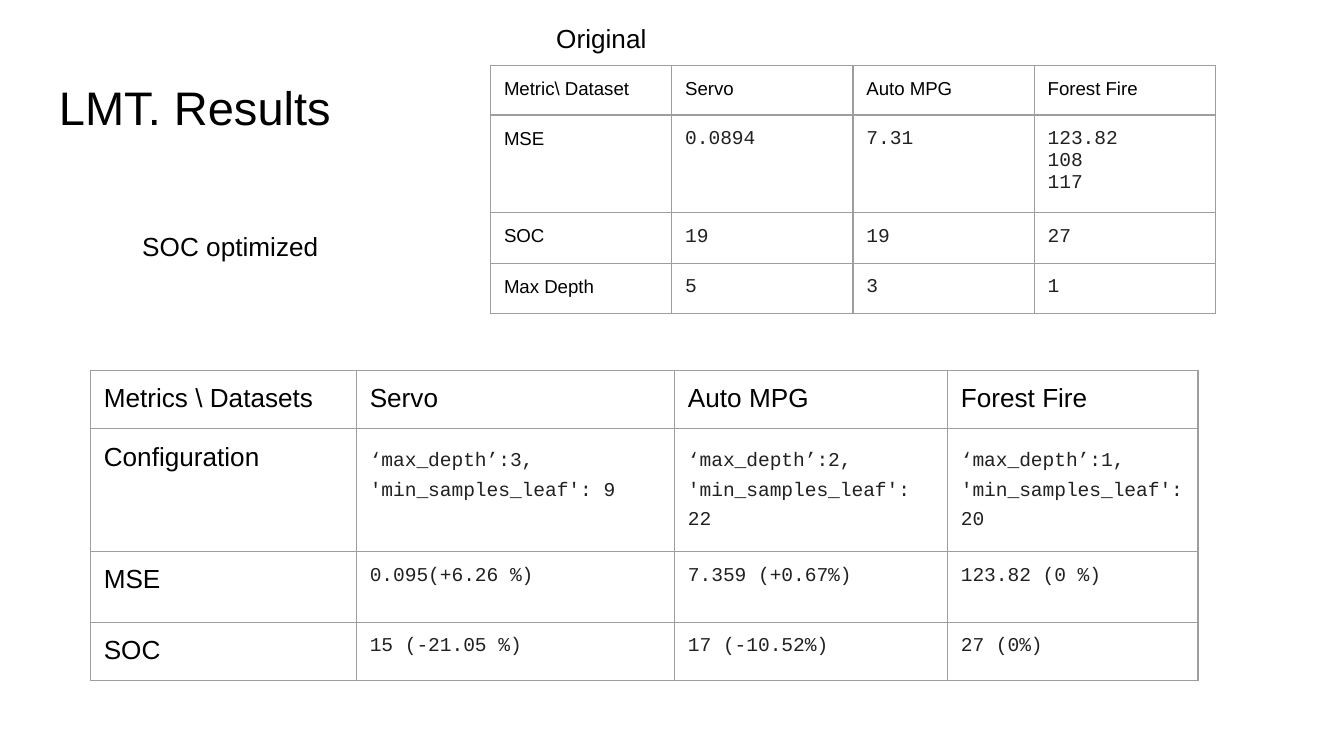
from dataclasses import dataclass
from lxml.etree import SubElement as Sub
from pptx import Presentation
from pptx.dml.color import RGBColor as Rgb
from pptx.oxml.ns import qn
from pptx.util import Pt


@dataclass(frozen=True)
class Theme:
    sans: str = "Arial"
    mono: str = "Courier New"
    ink: str = "000000"
    code: str = "212121"
    rule: str = "9E9E9E"
    title: float = 25.2
    body: float = 14
    small: float = 10
    value: float = 10.5
    pad: float = 7.2
    line: float = 0.75
    lead: float = 1.36


T = Theme()

BASE = [
    ["Metric\\ Dataset", "Servo", "Auto MPG", "Forest Fire"],
    ["MSE", "0.0894", "7.31", "123.82\n108\n117"],
    ["SOC", "19", "19", "27"],
    ["Max Depth", "5", "3", "1"],
]
TUNED = [
    ["Metrics \\ Datasets", "Servo", "Auto MPG", "Forest Fire"],
    ["Configuration", "‘max_depth’:3, 'min_samples_leaf': 9",
     "‘max_depth’:2, 'min_samples_leaf': 22",
     "‘max_depth’:1, 'min_samples_leaf': 20"],
    ["MSE", "0.095(+6.26 %)", "7.359 (+0.67%)", "123.82 (0 %)"],
    ["SOC", "15 (-21.05 %)", "17 (-10.52%)", "27 (0%)"],
]


# Text
def write(frame, text, size, face=T.sans, color=T.ink, lead=None):
    frame.word_wrap = True
    for i, line in enumerate(text.split("\n")):
        para = frame.add_paragraph() if i else frame.paragraphs[0]
        if lead:
            para.line_spacing = lead
        run = para.add_run()
        run.text = line
        run.font.size = Pt(size)
        run.font.name = face
        run.font.color.rgb = Rgb.from_string(color)


def pad(item):
    item.margin_left = item.margin_right = Pt(T.pad)
    item.margin_top = item.margin_bottom = Pt(T.pad)


def label(slide, text, size, x, y, w, h):
    box = slide.shapes.add_textbox(Pt(x), Pt(y), Pt(w), Pt(h))
    pad(box.text_frame)
    write(box.text_frame, text, size)


# Tables
def edge(cell):
    props = cell._tc.get_or_add_tcPr()
    for side in ("lnL", "lnR", "lnT", "lnB"):
        line = Sub(props, qn("a:" + side), w=str(Pt(T.line)))
        fill = Sub(line, qn("a:solidFill"))
        Sub(fill, qn("a:srgbClr"), val=T.rule)


def grid(slide, data, x, y, cols, rows, size):
    table = slide.shapes.add_table(len(rows), len(cols), Pt(x), Pt(y),
                                   Pt(sum(cols)), Pt(sum(rows))).table
    table.first_row = table.horz_banding = False
    for col, w in zip(table.columns, cols):
        col.width = Pt(w)
    for row, h in zip(table.rows, rows):
        row.height = Pt(h)
    for r, line in enumerate(data):
        for c, text in enumerate(line):
            cell = table.cell(r, c)
            pad(cell)
            edge(cell)
            cell.fill.background()
            if r and c:
                lead = T.lead if line[0] == "Configuration" else None
                write(cell.text_frame, text, T.value, T.mono, T.code, lead)
            else:
                write(cell.text_frame, text, size)


def main():
    deck = Presentation()
    deck.slide_width, deck.slide_height = Pt(720), Pt(405)
    slide = deck.slides.add_slide(deck.slide_layouts[6])

    # Headings
    label(slide, "LMT. Results", T.title, 24.5, 35, 671, 45.4)

    # Results after and before tuning
    grid(slide, TUNED, 48.4, 198.5, [142.5, 170.5, 146.2, 134.2],
         [30, 62.2, 38, 30], T.body)
    grid(slide, BASE, 262.8, 35.2, [97.1] * 4, [25.2, 49.8, 27.2, 27], T.small)

    # Table labels
    label(slide, "Original", T.body, 290.9, 5, 260.6, 31.7)
    label(slide, "SOC optimized", T.body, 69.1, 116, 152.6, 31.7)
    deck.save("out.pptx")


if __name__ == "__main__":
    main()
